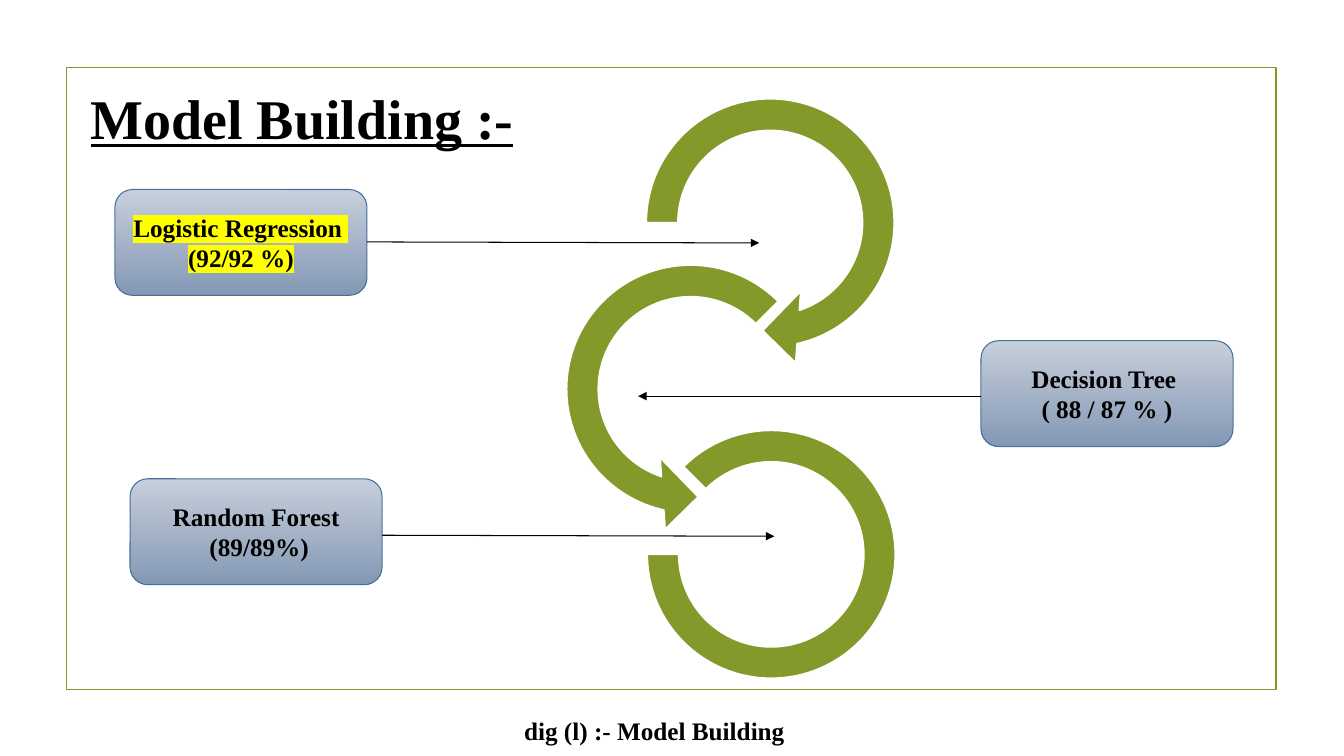
from dataclasses import dataclass

from lxml.etree import SubElement
from pptx import Presentation
from pptx.dml.color import RGBColor
from pptx.enum.shapes import MSO_CONNECTOR as Connector, MSO_SHAPE as Shape
from pptx.enum.text import MSO_ANCHOR as Anchor, PP_ALIGN as Align
from pptx.oxml import parse_xml
from pptx.oxml.ns import nsdecls, qn
from pptx.util import Inches, Pt


@dataclass(frozen=True)
class Theme:
    font: str = "Times New Roman"
    ink: RGBColor = RGBColor.from_string("000000")
    paper: RGBColor = RGBColor.from_string("FFFFFF")
    olive: RGBColor = RGBColor.from_string("83992A")
    box_top: RGBColor = RGBColor.from_string("C7CFDB")
    box_bottom: RGBColor = RGBColor.from_string("8498B4")
    box_line: RGBColor = RGBColor.from_string("44709D")
    highlight: str = "FFFF00"
    title_size: Pt = Pt(40)
    body_size: Pt = Pt(18)
    heavy: Pt = Pt(1.25)
    thin: Pt = Pt(0.75)


theme = Theme()


def add_span(para, text, size):
    span = para.add_run()
    span.text = text
    span.font.name = theme.font
    span.font.size = size
    span.font.bold = True
    span.font.color.rgb = theme.ink
    return span


def add_outlined(kind, left, top, width, height, color, weight):
    shape = page.shapes.add_shape(
        kind, Inches(left), Inches(top), Inches(width), Inches(height))
    shape.shadow.inherit = False
    shape.line.color.rgb = color
    shape.line.width = weight
    return shape


deck = Presentation()
deck.slide_width = Inches(13.33)
deck.slide_height = Inches(7.5)
page = deck.slides.add_slide(deck.slide_layouts[6])

frame = add_outlined(Shape.RECTANGLE, 0.66, 0.67, 12, 6.17, theme.olive, theme.heavy)
frame.fill.background()

captions = [
    ("Model Building :-", 0.8, 0.78, 5.99, 0.77, theme.title_size, True),
    ("dig (l) :- Model Building", 5.1, 7.05, 3.53, 0.4, theme.body_size, False),
]
for text, left, top, width, height, size, underlined in captions:
    caption = page.shapes.add_textbox(
        Inches(left), Inches(top), Inches(width), Inches(height))
    caption.text_frame.word_wrap = True
    span = add_span(caption.text_frame.paragraphs[0], text, size)
    if underlined:
        span.font.underline = True

rings = [
    (Shape.CIRCULAR_ARROW, 6.21, 0.78, 2.86, (0.11, 11.423, 45, 108, 0.125)),
    (Shape.LEFT_CIRCULAR_ARROW, 5.42, 2.43, 2.86, (0.11, 11.423, 63, 189, 0.125)),
    (Shape.BLOCK_ARC, 6.42, 4.27, 2.46, (135, 108, 0.127)),
]
for kind, left, top, side, bends in rings:
    ring = add_outlined(kind, left, top, side, side, theme.paper, theme.heavy)
    ring.fill.solid()
    ring.fill.fore_color.rgb = theme.olive
    for index, bend in enumerate(bends):
        ring.adjustments[index] = bend

models = [
    (("Logistic Regression ", "(92/92 %)"), 1.14, 1.88, True, (3.64, 2.4), (7.53, 2.41)),
    (("Decision Tree ", "( 88 / 87 % )"), 9.73, 3.38, False, (9.73, 3.93), (6.33, 3.93)),
    (("Random Forest", " (89/89%)"), 1.29, 4.75, False, (3.79, 5.31), (7.68, 5.32)),
]
for lines, left, top, highlighted, start, end in models:
    box = add_outlined(
        Shape.ROUNDED_RECTANGLE, left, top, 2.5, 1.05, theme.box_line, theme.thin)
    box.fill.gradient()
    box.fill.gradient_angle = 270
    for stop, color in zip(box.fill.gradient_stops, (theme.box_top, theme.box_bottom)):
        stop.color.rgb = color
    body = box.text_frame
    body.word_wrap = True
    body.vertical_anchor = Anchor.MIDDLE
    for index, text in enumerate(lines):
        para = body.add_paragraph() if index else body.paragraphs[0]
        para.alignment = Align.CENTER
        span = add_span(para, text, theme.body_size)
        if highlighted:
            marker = parse_xml(
                f'<a:highlight {nsdecls("a")}><a:srgbClr val="{theme.highlight}"/></a:highlight>')
            span.font._element.find(qn("a:solidFill")).addnext(marker) if hasattr(
                span.font, "_element") else span._r.rPr.find(qn("a:solidFill")).addnext(marker)

    arrow = page.shapes.add_connector(
        Connector.STRAIGHT, *(Inches(value) for value in start + end))
    arrow.line.color.rgb = theme.ink
    arrow.line.width = theme.thin
    SubElement(arrow.line._get_or_add_ln(), qn("a:tailEnd"), type="triangle")
    SubElement(arrow._element.spPr, qn("a:effectLst"))

deck.save("out.pptx")
